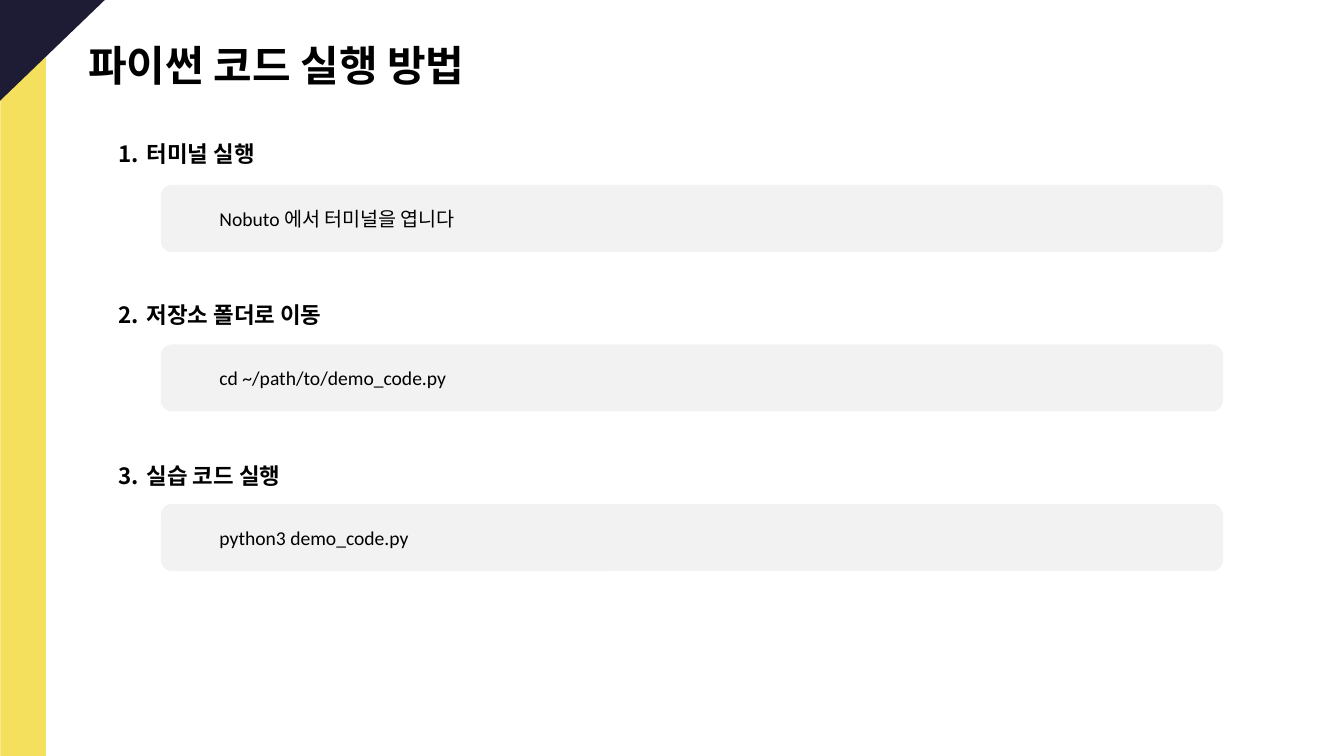
import pptx
import pptx.util
import pptx.dml.color
import pptx.enum.shapes
import pptx.enum.text
import lxml.etree
from pptx.util import Inches

SHAPES = pptx.enum.shapes.MSO_SHAPE
MIDDLE = pptx.enum.text.MSO_ANCHOR.MIDDLE
LEFT = pptx.enum.text.PP_ALIGN.LEFT


def color(value):
    return pptx.dml.color.RGBColor.from_string(value)


def write(shape, text, size, font, bold=False):
    frame = shape.text_frame
    frame.word_wrap = True
    frame.text = text
    para = frame.paragraphs[0]
    para.alignment = LEFT
    span = para.runs[0]
    span.font.size = pptx.util.Pt(size)
    span.font.name = font
    span.font.bold = bold
    span.font.color.rgb = color("000000")
    return para


deck = pptx.Presentation()
deck.slide_width = Inches(26.67)
deck.slide_height = Inches(15)
page = deck.slides.add_slide(deck.slide_layouts[6])

# Yellow side band and dark corner
band = page.shapes.add_shape(SHAPES.RECTANGLE, Inches(0.01), 0, Inches(0.9), Inches(15))
corner = page.shapes.add_shape(SHAPES.RIGHT_TRIANGLE, 0, 0, Inches(2.08), Inches(2))
corner._element.spPr.xfrm.set("flipV", "1")
for shape, fill in ((band, "F4E05D"), (corner, "1E1B35")):
    shape.shadow.inherit = False
    shape.fill.solid()
    shape.fill.fore_color.rgb = color(fill)
    shape.line.fill.background()

# Title
title = page.shapes.add_textbox(Inches(1.75), Inches(0.67), Inches(11.99), Inches(1.08))
title.text_frame.margin_left = title.text_frame.margin_right = 0
title.text_frame.margin_top = Inches(0.11)
title.text_frame.margin_bottom = 0
write(title, "파이썬 코드 실행 방법", 60, "Arial", bold=True)

# Numbered steps, each with its command box
steps = [
    ("터미널 실행", "Nobuto 에서 터미널을 엽니다"),
    ("저장소 폴더로 이동", "cd ~/path/to/demo_code.py"),
    ("실습 코드 실행", "python3 demo_code.py"),
]
for index, (heading, command) in enumerate(steps):
    heading_box = page.shapes.add_textbox(
        Inches(2.25), Inches(2.54 + 3.2 * index), Inches(22), Inches(1))
    heading_box.text_frame.vertical_anchor = MIDDLE
    para = write(heading_box, heading, 32, "Arial", bold=True)
    properties = para._p.get_or_add_pPr()
    properties.set("marL", str(Inches(0.56)))
    properties.set("indent", str(-Inches(0.56)))
    number = lxml.etree.SubElement(properties, pptx.oxml.ns.qn("a:buAutoNum"))
    number.set("type", "arabicPeriod")
    number.set("startAt", str(index + 1))

    command_box = page.shapes.add_shape(
        SHAPES.ROUNDED_RECTANGLE,
        Inches(3.19), Inches(3.67 + 3.165 * index), Inches(21.08), Inches(1.33))
    command_box.shadow.inherit = False
    command_box.fill.solid()
    command_box.fill.fore_color.rgb = color("F2F2F2")
    command_box.line.fill.background()
    command_box.text_frame.vertical_anchor = MIDDLE
    command_box.text_frame.margin_left = Inches(1.1)
    write(command_box, command, 28, "Calibri")

deck.save("out.pptx")
